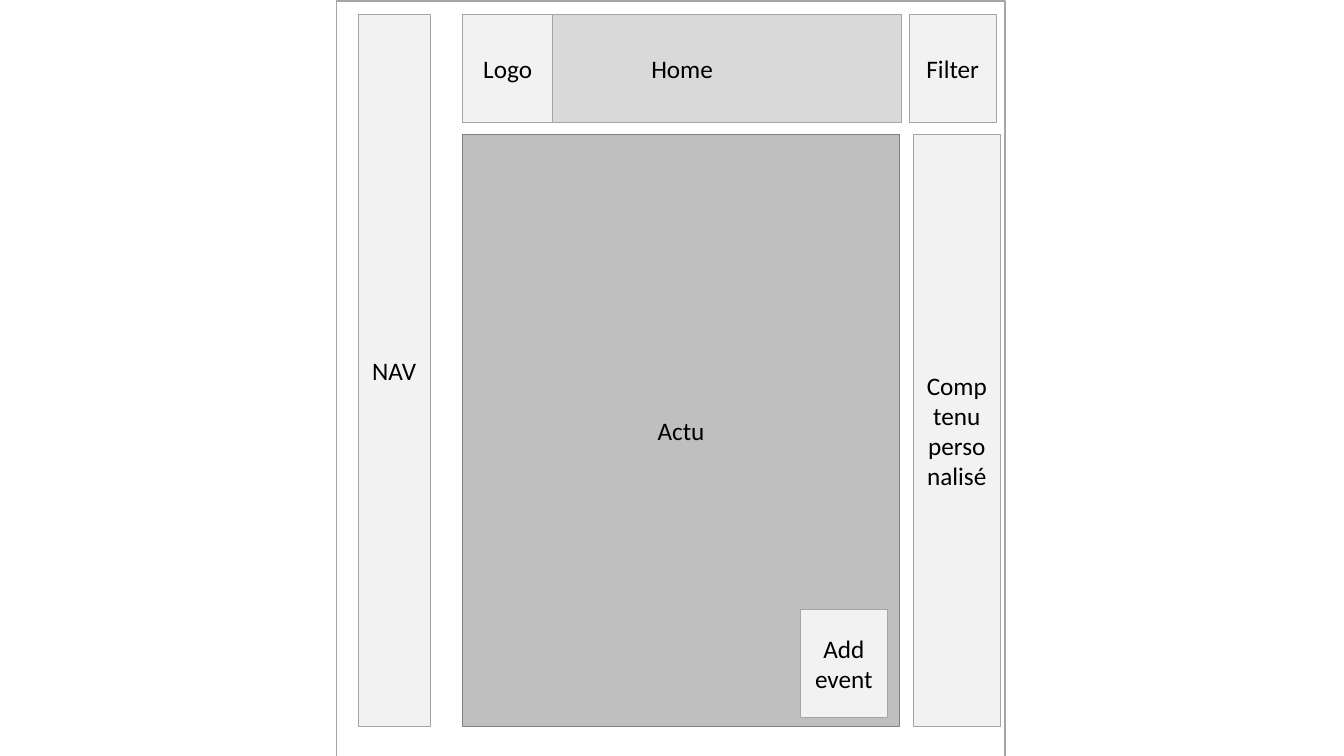
import pptx
import pptx.util
import pptx.dml.color
import pptx.enum.shapes
import pptx.enum.text
from pptx.util import Inches

THEME = {
    "font": "Calibri",
    "size": 18,
    "ink": "000000",
    "page": "FFFFFF",
    "tile": "F2F2F2",
    "head": "D9D9D9",
    "body": "BFBFBF",
    "edge": "A5A5A5",
    "dark": "808080",
    "thin": 0.5,
    "thick": 1,
}

TOP, BASE = 0.14, 7.21
MAIN = 4.59
HEAD_H = 1.07
BODY_TOP = 1.33
BODY_H = BASE - BODY_TOP
SIDE_W = 0.86


def color(name):
    return pptx.dml.color.RGBColor.from_string(THEME[name])


def apply(target, values):
    for name, value in values.items():
        setattr(target, name, value)


def add_box(slide, area, fill, edge="edge", width="thin"):
    kind = pptx.enum.shapes.MSO_SHAPE.RECTANGLE
    box = slide.shapes.add_shape(kind, *map(Inches, area))
    box.shadow.inherit = False
    box.fill.solid()
    box.fill.fore_color.rgb = color(fill)
    box.line.color.rgb = color(edge)
    box.line.width = pptx.util.Pt(THEME[width])
    return box


def add_label(box, text):
    frame = box.text_frame
    apply(frame, {
        "word_wrap": True,
        "vertical_anchor": pptx.enum.text.MSO_ANCHOR.MIDDLE,
    })
    line = frame.paragraphs[0]
    line.alignment = pptx.enum.text.PP_ALIGN.CENTER
    run = line.add_run()
    run.text = text
    apply(run.font, {
        "name": THEME["font"],
        "size": pptx.util.Pt(THEME["size"]),
    })
    run.font.color.rgb = color("ink")


def main():
    deck = pptx.Presentation()
    apply(deck, {"slide_width": Inches(13.33), "slide_height": Inches(7.5)})
    slide = deck.slides.add_slide(deck.slide_layouts[6])

    add_box(slide, (3.34, 0.01, 6.63, 7.5), "page", width="thick")
    panels = [
        ("Home", (MAIN, TOP, 4.35, HEAD_H), "head", "edge"),
        ("Actu", (MAIN, BODY_TOP, 4.33, BODY_H), "body", "dark"),
        ("Logo", (MAIN, TOP, 0.89, HEAD_H), "tile", "edge"),
        ("Filter", (9.02, TOP, SIDE_W, HEAD_H), "tile", "edge"),
        ("Add event", (7.94, 6.05, SIDE_W, HEAD_H), "tile", "edge"),
        ("NAV", (3.55, TOP, 0.72, BASE - TOP), "tile", "edge"),
        ("Comptenu personalisé", (9.06, BODY_TOP, SIDE_W, BODY_H),
         "tile", "edge"),
    ]
    for text, area, fill, edge in panels:
        add_label(add_box(slide, area, fill, edge), text)

    deck.save("out.pptx")


if __name__ == "__main__":
    main()
